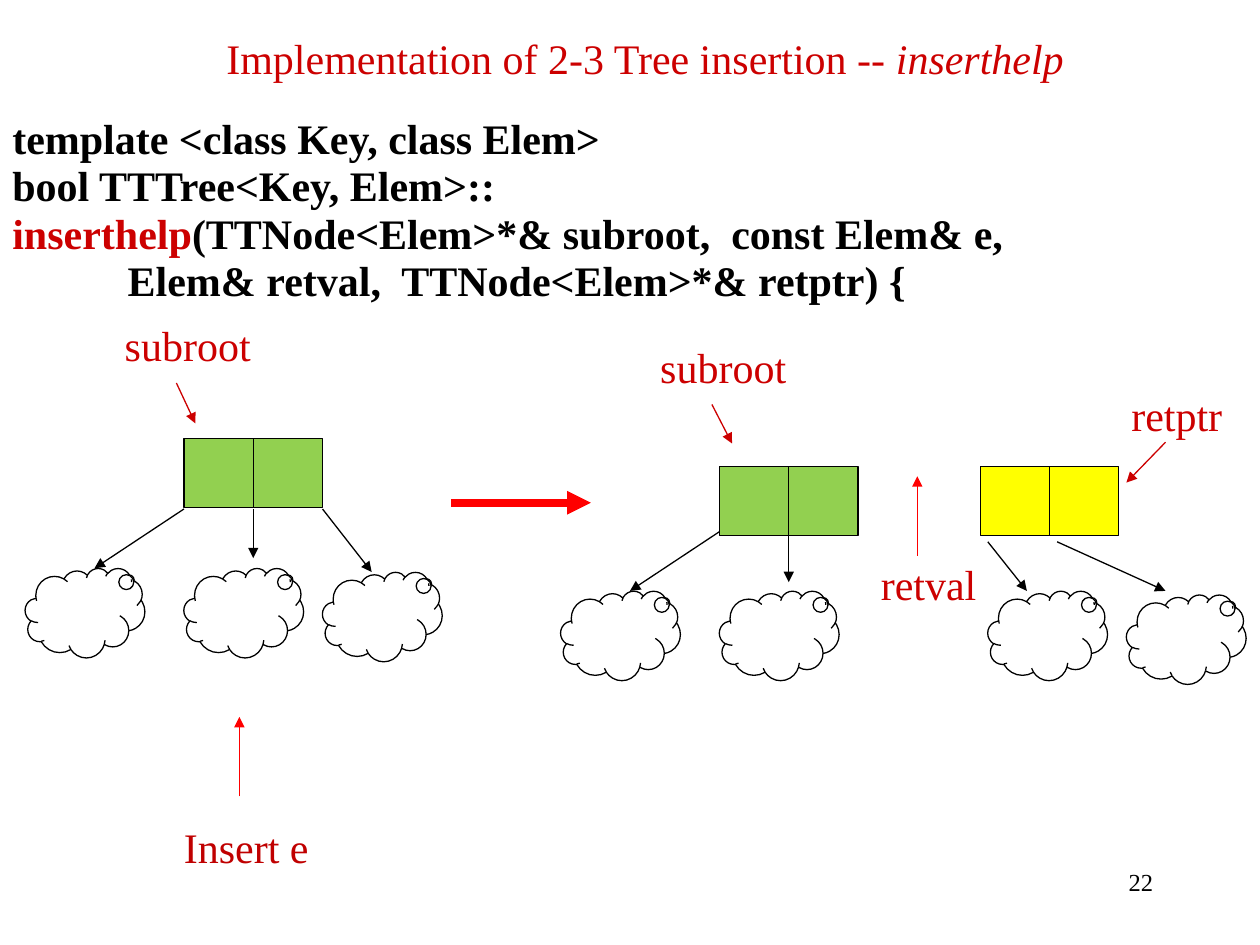
"""Build the slide on the 2-3 tree insertion helper with its before and after diagrams."""
from typing import NamedTuple

from lxml.etree import SubElement
from pptx import Presentation
from pptx.dml.color import RGBColor
from pptx.enum.shapes import MSO_CONNECTOR as Connector, MSO_SHAPE as Preset
from pptx.enum.text import MSO_ANCHOR as Anchor, MSO_AUTO_SIZE as AutoSize, PP_ALIGN as Align
from pptx.oxml.ns import qn
from pptx.slide import Slide
from pptx.util import Inches, Pt

FONT = "Times New Roman"
COLORS = {
    "black": "000000",
    "white": "FFFFFF",
    "accent": "CC0000",
    "dark red": "C00000",
    "red": "FF0000",
    "green": "92D050",
    "yellow": "FFFF00",
}
CELL = 0.55
CLOUD_WIDTH, CLOUD_HEIGHT = 0.95, 0.71


class Node(NamedTuple):
    left: float
    top: float
    color: str


class Cloud(NamedTuple):
    left: float
    top: float


class Arrow(NamedTuple):
    x1: float
    y1: float
    x2: float
    y2: float
    color: str = "black"
    width: float = 0.75


class Label(NamedTuple):
    text: str
    left: float
    top: float
    width: float
    color: str = "accent"


NODES = [
    Node(1.46, 3.48, "green"),
    Node(5.71, 3.7, "green"),
    Node(7.78, 3.7, "yellow"),
]
CLOUDS = [
    Cloud(0.2, 4.51),
    Cloud(1.46, 4.51),
    Cloud(2.56, 4.54),
    Cloud(4.45, 4.69),
    Cloud(5.71, 4.69),
    Cloud(7.84, 4.69),
    Cloud(8.94, 4.72),
]
ARROWS = [
    Arrow(1.46, 4.04, 0.75, 4.51),
    Arrow(2.01, 4.04, 2.01, 4.43),
    Arrow(2.56, 4.04, 2.95, 4.54),
    Arrow(5.71, 4.22, 5, 4.69),
    Arrow(6.26, 4.22, 6.26, 4.62),
    Arrow(7.84, 4.3, 8.15, 4.69),
    Arrow(8.39, 4.3, 9.25, 4.69),
    Arrow(1.4, 3.04, 1.55, 3.36, "accent"),
    Arrow(5.65, 3.21, 5.81, 3.52, "accent"),
    Arrow(9.25, 3.51, 8.94, 3.83, "accent"),
    Arrow(1.9, 6.32, 1.9, 5.69, "red"),
    Arrow(7.28, 4.41, 7.28, 3.78, "red"),
    Arrow(3.58, 3.99, 4.69, 3.99, "red", 4.5),
]
LABELS = [
    Label("subroot", 0.89, 2.49, 1.2),
    Label("subroot", 5.14, 2.66, 1.2),
    Label("retptr", 8.88, 3.04, 0.92),
    Label("retval", 6.89, 4.38, 0.96),
    Label("Insert e", 1.36, 6.47, 1.19, "dark red"),
]
CODE = [
    [("template <class Key, class Elem>", "black")],
    [("bool TTTree<Key, Elem>::", "black")],
    [("inserthelp", "accent"), ("(TTNode<Elem>*& subroot,  const Elem& e,", "black")],
    [("           Elem& retval,  TTNode<Elem>*& retptr) {", "black")],
]


def rgb(name: str) -> RGBColor:
    return RGBColor.from_string(COLORS[name])


def format_run(run, color: str, size: float = 24, bold: bool = False, italic: bool = False) -> None:
    run.font.name = FONT
    run.font.size = Pt(size)
    run.font.bold = bold
    run.font.italic = italic
    run.font.color.rgb = rgb(color)


def add_title(slide: Slide) -> None:
    title = slide.shapes.title
    title.left, title.top, title.width, title.height = map(Inches, (1.69, 0.21, 6.86, 0.5))
    frame = title.text_frame
    frame.word_wrap = False
    frame.auto_size = AutoSize.NONE
    frame.vertical_anchor = Anchor.TOP
    paragraph = frame.paragraphs[0]
    paragraph.alignment = Align.CENTER
    for text, italic in (("Implementation of 2-3 Tree insertion -- ", False), ("inserthelp", True)):
        run = paragraph.add_run()
        run.text = text
        format_run(run, "accent", italic=italic)


def add_code(slide: Slide) -> None:
    frame = slide.shapes.add_textbox(*map(Inches, (0, 0.95, 10, 1.6))).text_frame
    frame.word_wrap = True
    for index, line in enumerate(CODE):
        paragraph = frame.add_paragraph() if index else frame.paragraphs[0]
        paragraph.line_spacing = 0.7
        paragraph.space_before = Pt(7 if index else 0)
        for text, color in line:
            run = paragraph.add_run()
            run.text = text
            format_run(run, color, bold=True)


def add_label(slide: Slide, label: Label, size: float = 24, align: Align = Align.CENTER) -> None:
    box = slide.shapes.add_textbox(*map(Inches, (label.left, label.top, label.width, 0.5)))
    box.text_frame.text = label.text
    box.text_frame.word_wrap = align == Align.RIGHT
    paragraph = box.text_frame.paragraphs[0]
    paragraph.alignment = align
    format_run(paragraph.runs[0], label.color, size)


def add_outlined(slide: Slide, preset: Preset, left: float, top: float,
                 width: float, height: float, fill: str):
    shape = slide.shapes.add_shape(preset, *map(Inches, (left, top, width, height)))
    shape.shadow.inherit = False
    shape.fill.solid()
    shape.fill.fore_color.rgb = rgb(fill)
    shape.line.color.rgb = rgb("black")
    shape.line.width = Pt(0.75)
    return shape


def add_node(slide: Slide, node: Node) -> None:
    for column in range(2):
        add_outlined(slide, Preset.RECTANGLE, node.left + column * CELL, node.top, CELL, CELL, node.color)


def add_cloud(slide: Slide, cloud: Cloud) -> None:
    shape = add_outlined(slide, Preset.CLOUD_CALLOUT, cloud.left, cloud.top,
                         CLOUD_WIDTH, CLOUD_HEIGHT, "white")
    shape.adjustments[0], shape.adjustments[1] = 0.36, -0.36


def add_arrow(slide: Slide, arrow: Arrow) -> None:
    connector = slide.shapes.add_connector(
        Connector.STRAIGHT, *map(Inches, (arrow.x1, arrow.y1, arrow.x2, arrow.y2)))
    connector.line.color.rgb = rgb(arrow.color)
    connector.line.width = Pt(arrow.width)
    properties = connector.element.spPr
    SubElement(properties.find(qn("a:ln")), qn("a:tailEnd"), type="triangle")
    SubElement(properties, qn("a:effectLst"))


def main() -> None:
    presentation = Presentation()
    presentation.slide_width, presentation.slide_height = Inches(10), Inches(7.5)
    slide = presentation.slides.add_slide(presentation.slide_layouts[5])
    add_title(slide)
    add_code(slide)
    for node in NODES:
        add_node(slide, node)
    for cloud in CLOUDS:
        add_cloud(slide, cloud)
    for arrow in ARROWS:
        add_arrow(slide, arrow)
    for label in LABELS:
        add_label(slide, label)
    add_label(slide, Label("22", 7.17, 6.83, 2.08, "black"), 14, Align.RIGHT)
    presentation.save("out.pptx")


if __name__ == "__main__":
    main()
